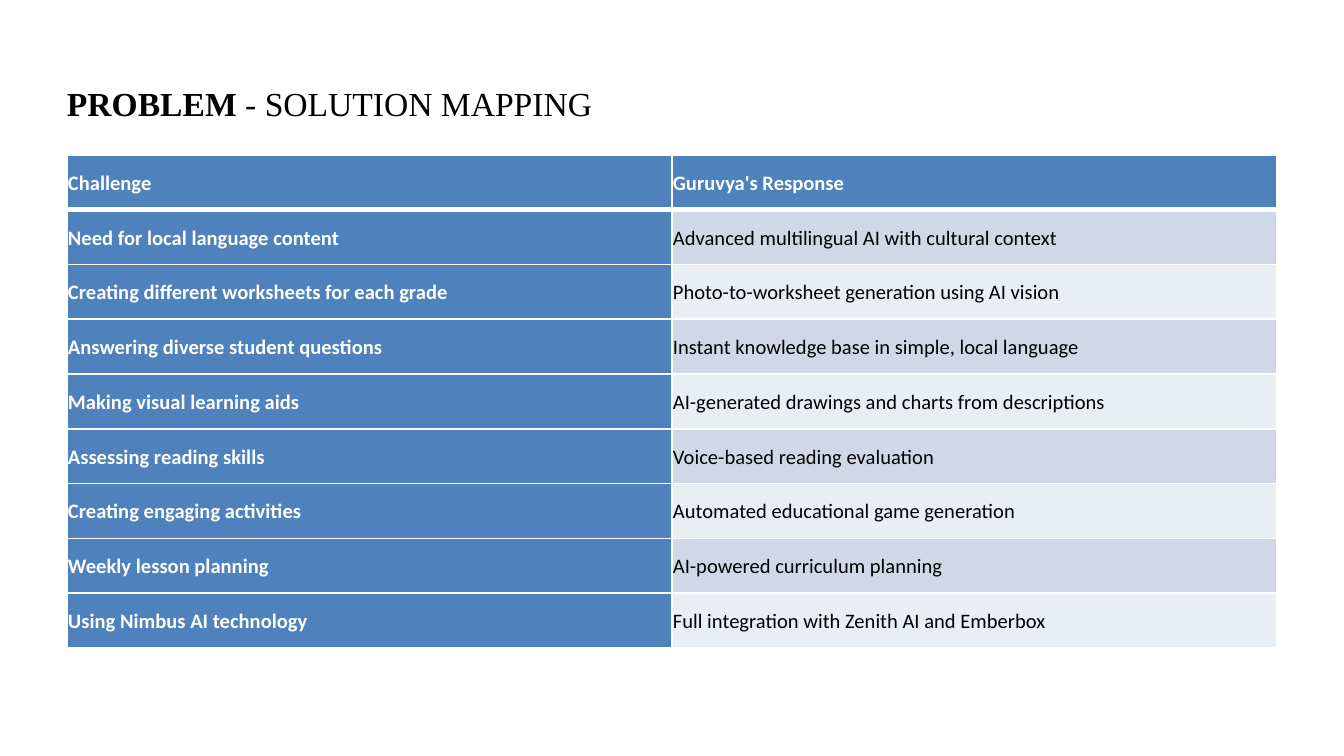
from pptx import Presentation
from pptx.dml.color import RGBColor
from pptx.enum import text
from pptx.oxml import parse_xml
from pptx.oxml.ns import nsdecls
from pptx.util import Pt

# Content
TITLE = [("PROBLEM", True), (" - SOLUTION MAPPING", False)]
ROWS = [
    ("Challenge", "Guruvya's Response"),
    ("Need for local language content", "Advanced multilingual AI with cultural context"),
    ("Creating different worksheets for each grade", "Photo-to-worksheet generation using AI vision"),
    ("Answering diverse student questions", "Instant knowledge base in simple, local language"),
    ("Making visual learning aids", "AI-generated drawings and charts from descriptions"),
    ("Assessing reading skills", "Voice-based reading evaluation"),
    ("Creating engaging activities", "Automated educational game generation"),
    ("Weekly lesson planning", "AI-powered curriculum planning"),
    ("Using Nimbus AI technology", "Full integration with Zenith AI and Emberbox"),
]

# Style
BLUE = RGBColor(0x4F, 0x81, 0xBD)
BANDS = [RGBColor(0xE9, 0xED, 0xF4), RGBColor(0xD0, 0xD8, 0xE8)]
WHITE = RGBColor(0xFF, 0xFF, 0xFF)
BLACK = RGBColor(0, 0, 0)

# Layout in px
SLIDE_W, SLIDE_H = 1344, 756
LEFT, WIDTH = 67, 1210
TITLE_TOP, TITLE_H = 83, 40
TABLE_TOP, TABLE_H = 155, 493
INSET = 1


def px(n):
    return round(n * 914400 / 134.4)


def set_borders(cell, bottom, top):
    tc_pr = cell._tc.get_or_add_tcPr()
    widths = {"lnL": 1, "lnR": 1, "lnT": top, "lnB": bottom}
    for i, (tag, width) in enumerate(widths.items()):
        tc_pr.insert(i, parse_xml(
            f'<a:{tag} {nsdecls("a")} w="{Pt(width)}"><a:solidFill>'
            f'<a:srgbClr val="{WHITE}"/></a:solidFill></a:{tag}>'))


def fill_cell(cell, words, row, col):
    strong = row == 0 or col == 0
    cell.fill.solid()
    cell.fill.fore_color.rgb = BLUE if strong else BANDS[row % 2]
    cell.vertical_anchor = text.MSO_ANCHOR.MIDDLE
    cell.margin_left = cell.margin_right = px(INSET)
    cell.margin_top = cell.margin_bottom = px(INSET)
    cell.text = words
    p = cell.text_frame.paragraphs[0]
    p.line_spacing = 1.07
    p.space_after = Pt(8)
    p.font.name = "Calibri"
    p.font.size = Pt(11)
    p.font.bold = strong
    p.font.color.rgb = WHITE if strong else BLACK
    set_borders(cell, bottom=3 if row == 0 else 1, top=3 if row == 1 else 1)


prs = Presentation()
prs.slide_width, prs.slide_height = px(SLIDE_W), px(SLIDE_H)
s = prs.slides.add_slide(prs.slide_layouts[5])

# Title
sp = s.shapes.title
sp.left, sp.top, sp.width, sp.height = map(px, (LEFT, TITLE_TOP, WIDTH, TITLE_H))
tf = sp.text_frame
tf.margin_left = tf.margin_right = tf.margin_top = tf.margin_bottom = 0
tf.vertical_anchor = text.MSO_ANCHOR.TOP
tf.auto_size = text.MSO_AUTO_SIZE.SHAPE_TO_FIT_TEXT
p = tf.paragraphs[0]
p.alignment = text.PP_ALIGN.LEFT
p.font.name = "Times New Roman"
p.font.size = Pt(18)
p.font.color.rgb = BLACK
for words, bold in TITLE:
    r = p.add_run()
    r.text = words
    r.font.bold = bold

# Table of challenges and responses
table = s.shapes.add_table(len(ROWS), len(ROWS[0]), px(LEFT), px(TABLE_TOP),
                           px(WIDTH), px(TABLE_H)).table
for i, row in enumerate(ROWS):
    for j, words in enumerate(row):
        fill_cell(table.cell(i, j), words, i, j)

prs.save("out.pptx")
